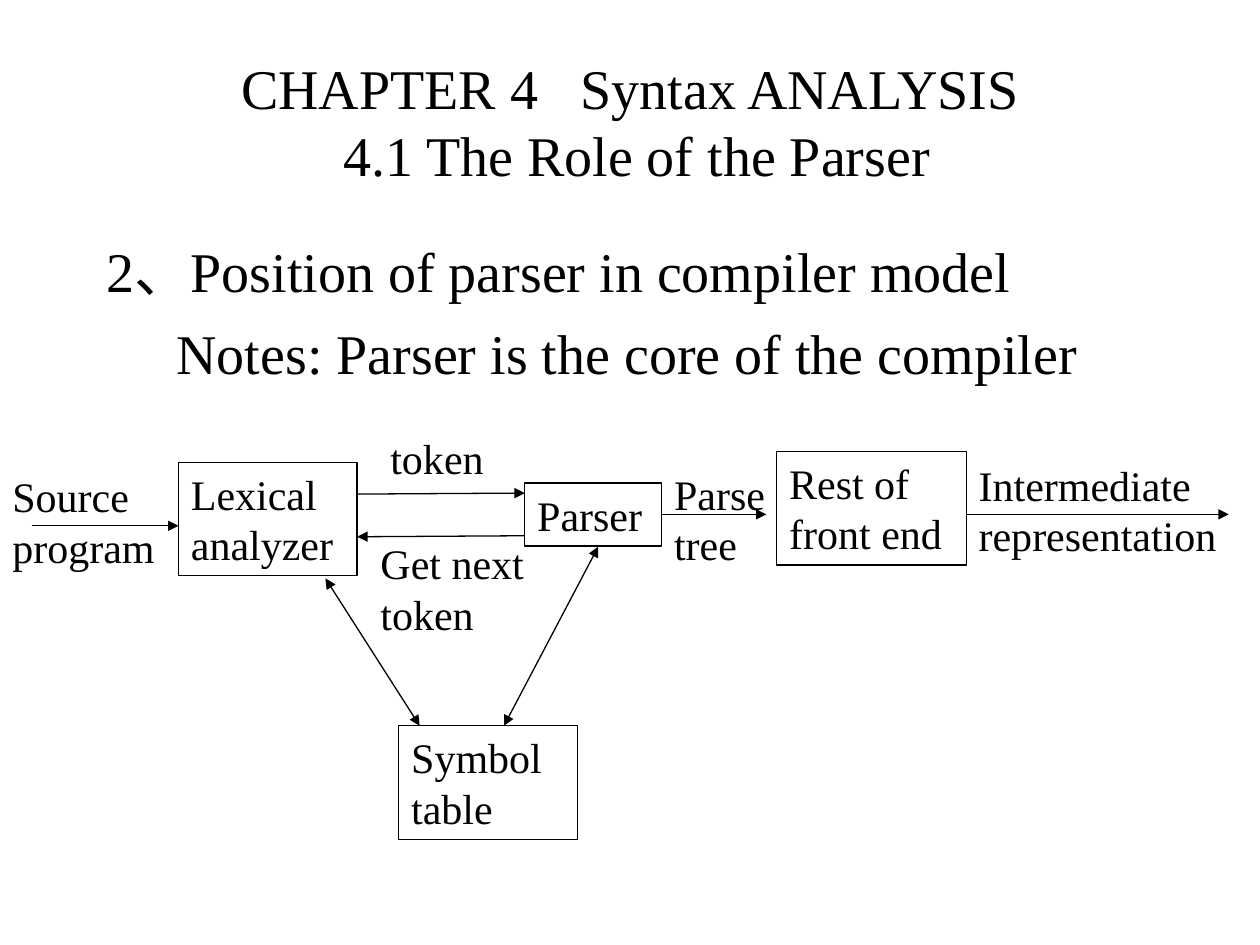
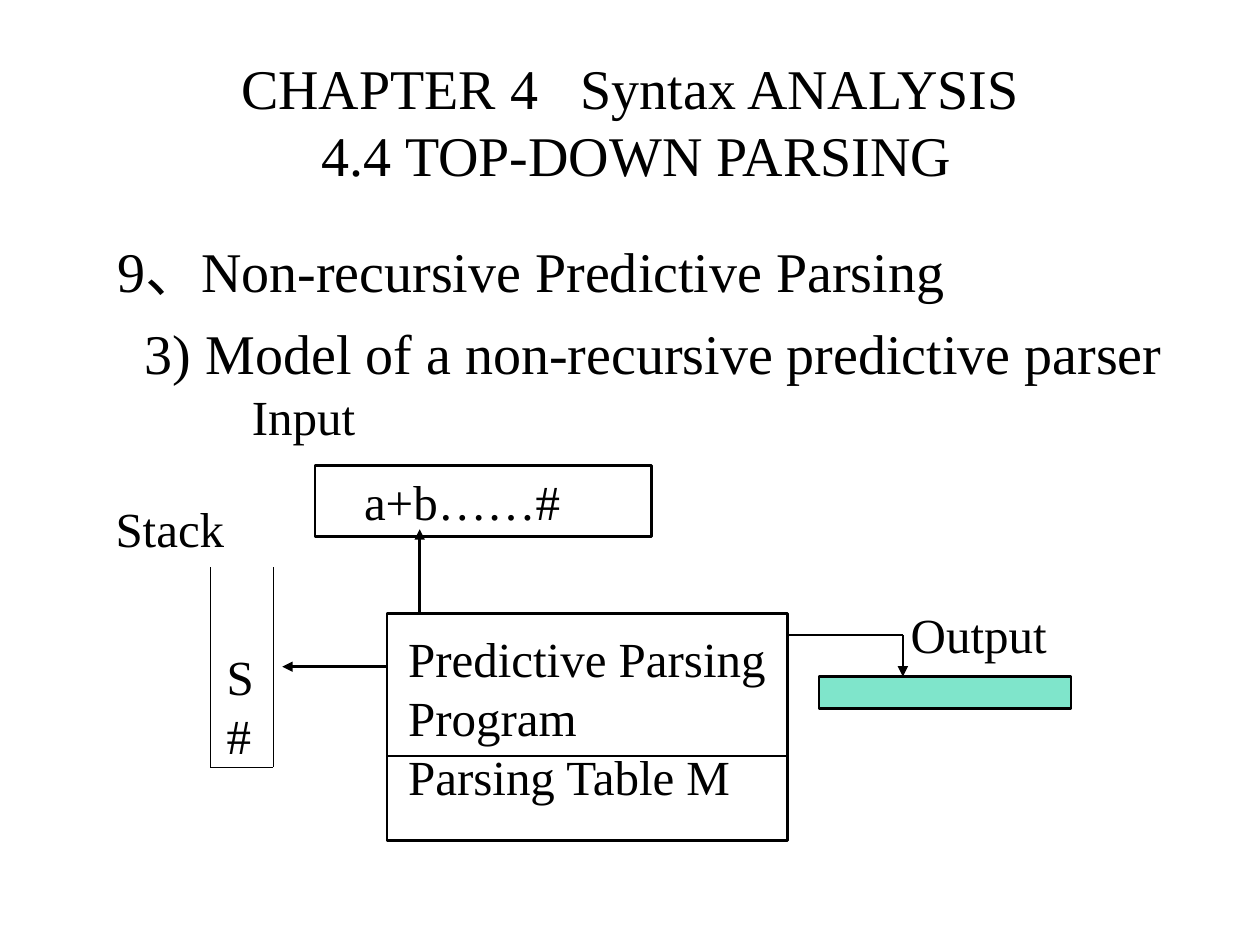
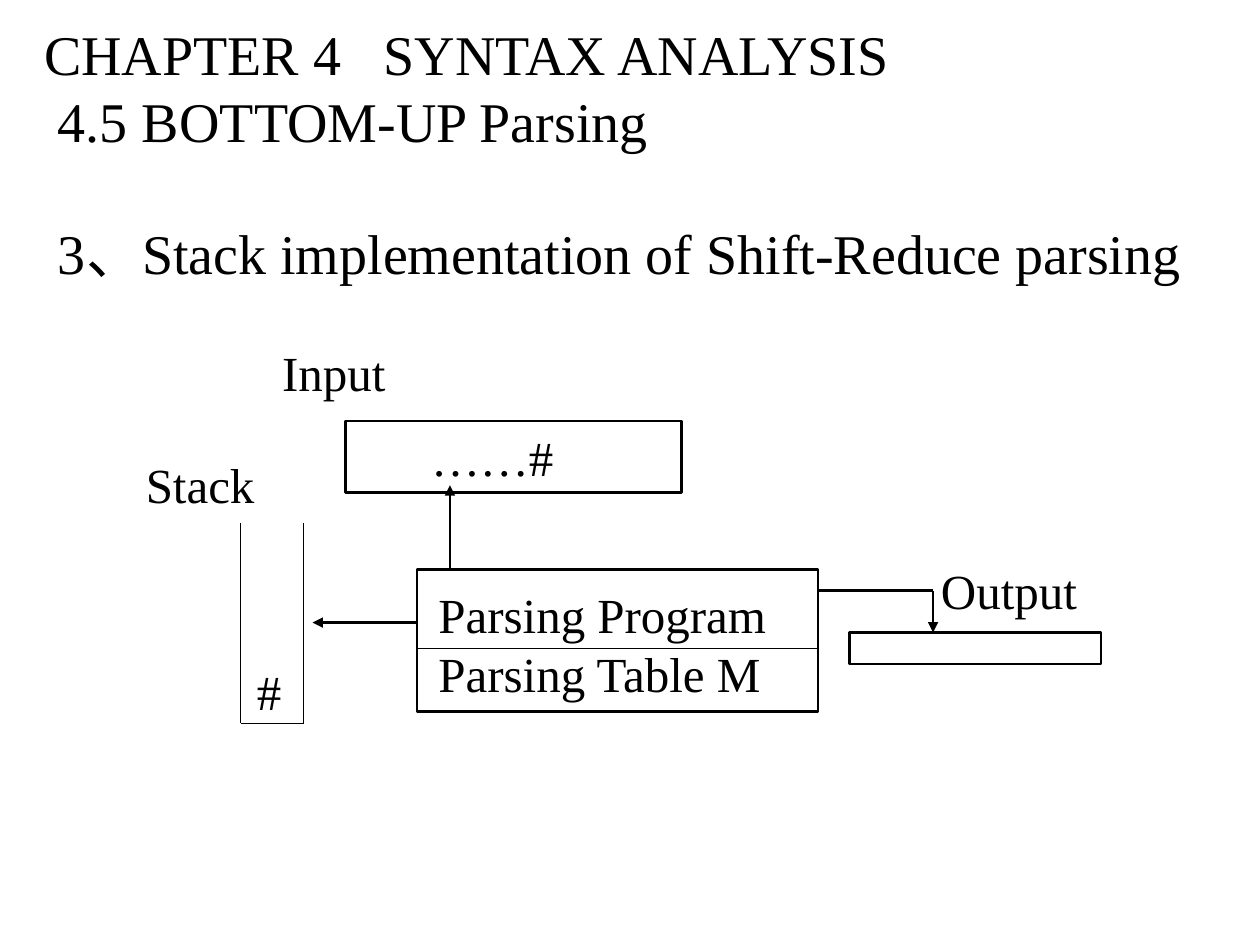
"""Build three slides on parsing: the parser's role and two parser models."""
from lxml.etree import SubElement
from pptx import Presentation
from pptx.dml.color import RGBColor as Rgb
from pptx.enum.shapes import MSO_CONNECTOR as Link, MSO_SHAPE as Shape
from pptx.enum.text import MSO_ANCHOR as Anchor, PP_ALIGN as Align
from pptx.oxml.ns import qn
from pptx.util import Cm, Pt

COLORS = {"ink": "000000", "paper": "FFFFFF", "output": "00CC99"}
FONT = "Times New Roman"
TITLE_SIZE, MODEL_SIZE, FLOW_SIZE = 32, 28, 24
THIN, THICK = 0.75, 1.5


class Deck:
    """Hold the shared style and draw elements on the current slide."""

    def __init__(self):
        self.show = Presentation()
        self.show.slide_width, self.show.slide_height = Cm(25.4), Cm(19.05)

    def new_slide(self):
        self.slide = self.show.slides.add_slide(self.show.slide_layouts[6])
        self.slide.background.fill.solid()
        self.slide.background.fill.fore_color.rgb = Rgb.from_string(COLORS["paper"])
        self.origin = (0, 0)

    def place(self, x, y):
        return Cm(x + self.origin[0]), Cm(y + self.origin[1])

    def set_lines(self, frame, lines, size, indents=(), before=0, align=Align.LEFT,
                  anchor=Anchor.TOP, wrap=True):
        frame.word_wrap, frame.vertical_anchor = wrap, anchor
        for index, line in enumerate(lines):
            paragraph = frame.paragraphs[0] if index == 0 else frame.add_paragraph()
            paragraph.alignment = align
            if index < len(indents):
                paragraph._p.get_or_add_pPr().set("marL", str(Cm(indents[index])))
            if index:
                paragraph.space_before = Pt(before)
            paragraph.add_run().text = line
            paragraph.font.name, paragraph.font.size = FONT, Pt(size)
            paragraph.font.color.rgb = Rgb.from_string(COLORS["ink"])

    def text(self, x, y, width, height, lines, size, **style):
        frame = self.slide.shapes.add_textbox(
            *self.place(x, y), Cm(width), Cm(height)).text_frame
        self.set_lines(frame, lines, size, **style)
        return frame

    def title(self, area, topic, lines, align=Align.CENTER):
        frame = self.text(*area, ["CHAPTER 4", *lines], TITLE_SIZE, align=align,
                          indents=[0] + [0.28] * len(lines), anchor=Anchor.MIDDLE)
        chapter = frame.paragraphs[0]
        gap = chapter.add_run()
        gap.text = " "
        gap._r.get_or_add_rPr().set("spc", "1600")
        chapter.add_run().text = topic
        return frame

    def box(self, x, y, width, height, weight, lines=(), size=FLOW_SIZE, fill=None, **style):
        rect = self.slide.shapes.add_shape(
            Shape.RECTANGLE, *self.place(x, y), Cm(width), Cm(height))
        rect.shadow.inherit = False
        rect.line.color.rgb = Rgb.from_string(COLORS["ink"])
        rect.line.width = Pt(weight)
        if fill:
            rect.fill.solid()
            rect.fill.fore_color.rgb = Rgb.from_string(COLORS[fill])
            tint = rect._element.spPr.find(qn("a:solidFill"))[0]
            SubElement(tint, qn("a:alpha"), val="50000")
        else:
            rect.fill.background()
        self.set_lines(rect.text_frame, lines, size, **style)

    def line(self, start, end, weight, *arrowheads):
        link = self.slide.shapes.add_connector(
            Link.STRAIGHT, *self.place(*start), *self.place(*end))
        link.line.color.rgb = Rgb.from_string(COLORS["ink"])
        link.line.width = Pt(weight)
        for arrowhead in arrowheads:
            SubElement(link.line._get_or_add_ln(), qn(f"a:{arrowhead}"), type="triangle")
        SubElement(link._element.spPr, qn("a:effectLst"))

    def parser_model(self, origin, program, program_height, divider, tokens,
                     token_indent, stack, output_fill=None):
        self.origin = origin
        self.box(7.8, 12.37, 8.08, program_height, THICK)
        self.text(7.98, 12.55, 7.9, program_height - 0.5,
                  [program, "Parsing Table M"], MODEL_SIZE)
        self.line((7.8, divider), (15.88, divider), THIN)

        self.box(6.35, 9.38, 6.78, 1.44, THICK, [tokens], MODEL_SIZE, indents=[token_indent])
        self.line((8.46, 12.37), (8.46, 10.67), THICK, "tailEnd")

        self.line((7.8, 13.44), (5.69, 13.44), THICK, "tailEnd")
        left, right, top, bottom = 4.24, 5.51, 11.43, 15.47
        for wall in (left, right):
            self.line((wall, top), (wall, bottom), THIN)
        self.line((left, bottom), (right, bottom), THIN)
        self.text(4.32, 12.9, 1.04, 2.64, stack, MODEL_SIZE,
                  anchor=Anchor.BOTTOM, wrap=False)

        self.box(16.51, 13.64, 5.08, 0.64, THICK, fill=output_fill)
        self.line((15.88, 12.8), (18.2, 12.8), THICK)
        self.line((18.2, 12.8), (18.2, 13.64), THICK, "tailEnd")
        for label, x, y, width in (("Input", 4.83, 7.67, 2.82),
                                   ("Stack", 2.08, 9.93, 2.95),
                                   ("Output", 18.11, 12.07, 3.48)):
            self.text(x, y, width, 1.44, [label], MODEL_SIZE, wrap=False)


def main():
    deck = Deck()
    heading = (1.9, 0.43, 21.6, 4.01)

    deck.new_slide()
    deck.title(heading, "Syntax ANALYSIS", ["4.1 The Role of the Parser"])
    deck.text(1.9, 4.65, 21.6, 12.7,
              ["2、Position of parser in compiler model",
               "Notes: Parser is the core of the compiler"],
              TITLE_SIZE, indents=[0, 1.41], before=8)
    for stage, x, y, width, height in (("Lexical analyzer", 3.6, 9.32, 3.6, 2.29),
                                       ("Parser", 10.58, 9.74, 2.75, 1.27),
                                       ("Symbol table", 8.04, 14.63, 3.6, 2.29),
                                       ("Rest of front end", 15.66, 9.1, 3.82, 2.29)):
        deck.box(x, y, width, height, THIN, [stage])
    for start, end in (((7.2, 9.96), (10.58, 9.94)),
                       ((10.58, 10.8), (7.2, 10.82)),
                       ((0.64, 10.6), (3.6, 10.6)),
                       ((13.34, 10.37), (15.45, 10.37)),
                       ((19.48, 10.37), (24.77, 10.37))):
        deck.line(start, end, THIN, "tailEnd")
    for start, end in (((6.56, 11.66), (8.46, 14.63)), ((12.06, 11.02), (10.16, 14.63))):
        deck.line(start, end, THIN, "headEnd", "tailEnd")
    for flow, x, y, width, height in (("Source program", 0, 9.37, 3.81, 2.29),
                                      ("token", 7.62, 8.6, 2.6, 1.27),
                                      ("Get next token", 7.42, 10.72, 3.63, 2.29),
                                      ("Parse tree", 13.34, 9.32, 2.75, 2.29),
                                      ("Intermediate representation", 19.48, 9.14, 5.92, 2.29)):
        deck.text(x, y, width, height, [flow], FLOW_SIZE)

    deck.new_slide()
    deck.title(heading, "Syntax ANALYSIS", ["4.4 TOP-DOWN PARSING"])
    deck.text(0.84, 4.65, 23.4, 3.25,
              ["9、Non-recursive Predictive Parsing",
               "3) Model of a non-recursive predictive parser"],
              TITLE_SIZE, indents=[1.27, 1.83], before=8)
    deck.parser_model((0, 0), "Predictive Parsing Program", 4.57, 15.24,
                      "a+b……#", 0.74, ["S", "#"], "output")

    deck.new_slide()
    outline = deck.title((0.64, 0.43, 24.76, 5.28), "SYNTAX ANALYSIS",
                         ["4.5 BOTTOM-UP Parsing",
                          "3、Stack implementation of Shift-Reduce parsing"], Align.LEFT)
    outline.paragraphs[-1].space_before = Pt(37)
    deck.parser_model((0.61, -0.89), "Parsing Program", 2.87, 13.97,
                      "……#", 1.48, ["#"])

    deck.show.save("out.pptx")


if __name__ == "__main__":
    main()
